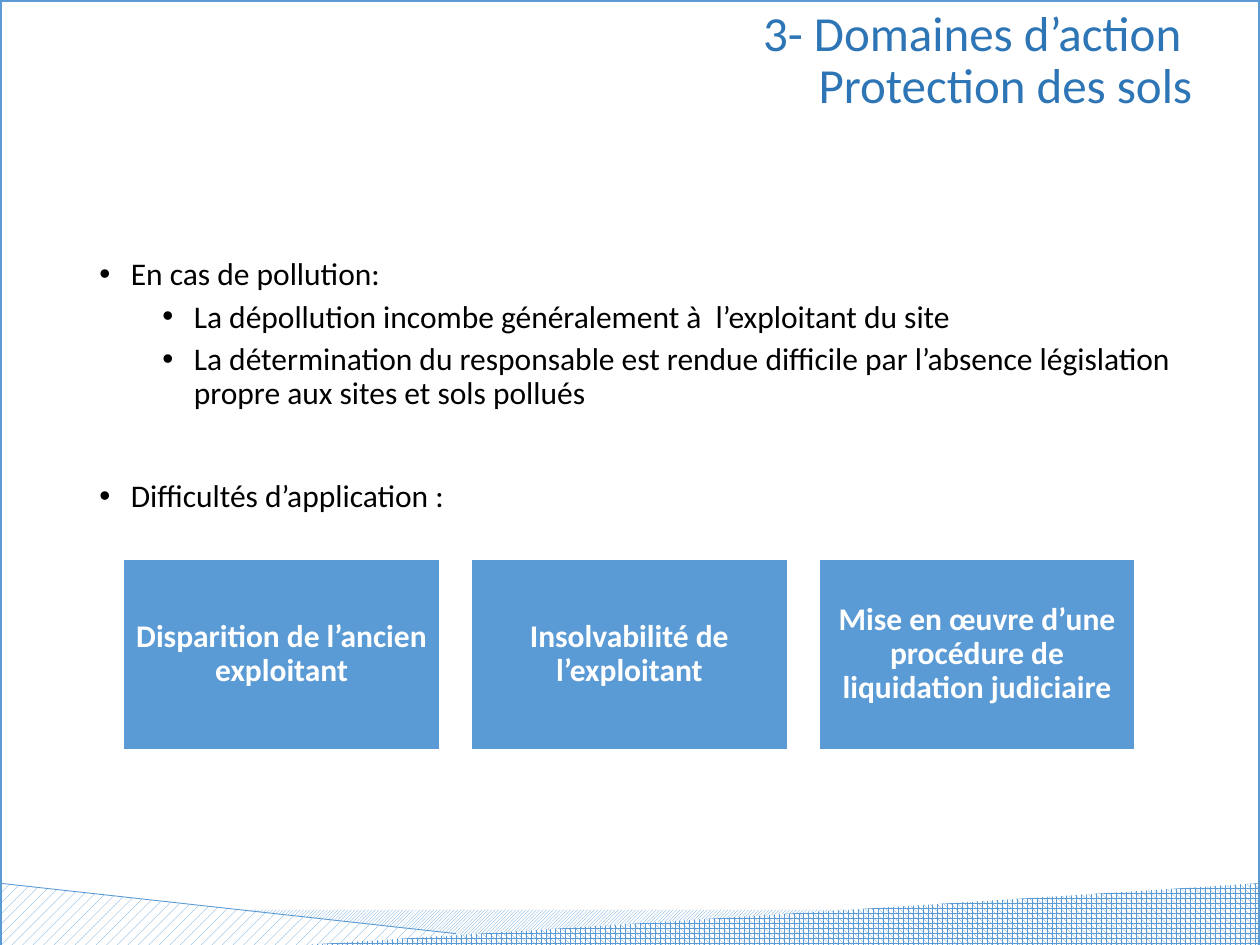
from dataclasses import dataclass

from lxml.etree import SubElement
from pptx import Presentation
from pptx.dml.color import RGBColor
from pptx.enum.dml import MSO_PATTERN
from pptx.enum.shapes import MSO_CONNECTOR, MSO_SHAPE
from pptx.enum.text import MSO_ANCHOR, PP_ALIGN
from pptx.oxml.ns import qn
from pptx.util import Inches, Pt

BLUE, DARK, BLACK, WHITE = "5B9BD5", "2E75B6", "000000", "FFFFFF"


@dataclass(frozen=True)
class Box:
    left: float
    top: float
    width: float
    height: float

    def area(self) -> list:
        return [Inches(v) for v in (self.left, self.top, self.width, self.height)]


@dataclass(frozen=True)
class Wedge:
    points: tuple
    pattern: MSO_PATTERN


@dataclass(frozen=True)
class Item:
    text: str
    level: int
    indent: float
    before: float


WEDGES = (
    Wedge(((0, 7.01), (4.37, 7.5), (4.28, 7.52), (0, 7.52)), MSO_PATTERN.PERCENT_20),
    Wedge(((2.27, 7.51), (9.99, 7.01), (10, 7.52), (2.19, 7.52)), MSO_PATTERN.SPHERE),
)
ITEMS = (
    Item("En cas de pollution:", 0, 0.25, 0),
    Item("La dépollution incombe généralement à  l’exploitant du site", 1, 0.75, 5),
    Item("La détermination du responsable est rendue difficile par l’absence "
         "législation propre aux sites et sols pollués", 1, 0.75, 5),
    Item("Difficultés d’application :", 0, 0.25, 39),
)
CARDS = (
    "Disparition de l’ancien exploitant",
    "Insolvabilité de l’exploitant",
    "Mise en œuvre d’une procédure de liquidation judiciaire",
)


def color(code: str) -> RGBColor:
    return RGBColor.from_string(code)


def apply(target, form: dict) -> None:
    for name, value in form.items():
        setattr(target, name, value)


def write(par, text: str, size: float, code: str, bold: bool = False, **form) -> None:
    par.text = text
    apply(par, {"line_spacing": 0.9, **form})
    for run in par.runs:
        apply(run.font, {"name": "Calibri", "size": Pt(size), "bold": bold})
        run.font.color.rgb = color(code)


def hatch(shape, pattern: MSO_PATTERN) -> None:
    shape.shadow.inherit = False
    shape.fill.patterned()
    shape.fill.pattern = pattern
    shape.fill.fore_color.rgb = color(BLUE)
    shape.fill.back_color.rgb = color(WHITE)
    shape.line.fill.background()


def add_rect(slide, box: Box):
    shape = slide.shapes.add_shape(MSO_SHAPE.RECTANGLE, *box.area())
    shape.shadow.inherit = False
    return shape


def add_text(slide, box: Box):
    frame = slide.shapes.add_textbox(*box.area()).text_frame
    apply(frame, {"word_wrap": True, "vertical_anchor": MSO_ANCHOR.TOP})
    return frame


def add_wedge(slide, wedge: Wedge) -> None:
    first, *rest = [(Inches(x), Inches(y)) for x, y in wedge.points]
    path = slide.shapes.build_freeform(*first)
    path.add_line_segments(rest, close=True)
    hatch(path.convert_to_shape(), wedge.pattern)


def add_decor(slide) -> None:
    hatch(add_rect(slide, Box(1.3, 7.22, 6.56, 0.32)), MSO_PATTERN.LIGHT_UPWARD_DIAGONAL)
    for wedge in WEDGES:
        add_wedge(slide, wedge)
    line = slide.shapes.add_connector(
        MSO_CONNECTOR.STRAIGHT, Inches(0), Inches(7.01), Inches(3.62), Inches(7.41))
    line.line.color.rgb = color(BLUE)
    line.line.width = Pt(0.5)
    SubElement(line._element.spPr, qn("a:effectLst"))
    edge = add_rect(slide, Box(0, 0, 10, 7.52))
    edge.fill.background()
    edge.line.color.rgb = color(BLUE)
    edge.line.width = Pt(2.25)


def add_item(par, item: Item) -> None:
    props = par._p.get_or_add_pPr()
    props.set("marL", str(Inches(item.indent)))
    props.set("indent", str(Inches(-0.25)))
    SubElement(props, qn("a:buFont"), typeface="Arial")
    SubElement(props, qn("a:buChar"), char="•")
    form = {"level": item.level}
    if item.before:
        form["space_before"] = Pt(item.before)
    write(par, item.text, 18, BLACK, **form)


def add_card(slide, box: Box, text: str) -> None:
    card = add_rect(slide, box)
    card.fill.solid()
    card.fill.fore_color.rgb = color(BLUE)
    card.line.color.rgb = color(WHITE)
    card.line.width = Pt(1)
    frame = card.text_frame
    sides = ("left", "right", "top", "bottom")
    apply(frame, {f"margin_{side}": Inches(0.07) for side in sides})
    apply(frame, {"word_wrap": True, "vertical_anchor": MSO_ANCHOR.MIDDLE})
    write(frame.paragraphs[0], text, 18, WHITE, True, alignment=PP_ALIGN.CENTER)


def main() -> None:
    deck = Presentation()
    apply(deck, {"slide_width": Inches(10), "slide_height": Inches(7.5)})
    slide = deck.slides.add_slide(deck.slide_layouts[6])
    add_decor(slide)
    title = add_text(slide, Box(0.69, 0.02, 8.87, 1.17))
    write(title.paragraphs[0], "3- Domaines d’action \vProtection des sols", 28, DARK,
          alignment=PP_ALIGN.RIGHT)
    body = add_text(slide, Box(0.69, 2, 9.01, 2.26))
    for index, item in enumerate(ITEMS):
        add_item(body.add_paragraph() if index else body.paragraphs[0], item)
    width, gap = 2.51, 0.25
    for index, text in enumerate(CARDS):
        left = 0.98 + index * (width + gap)
        add_card(slide, Box(left, 4.44, width, 1.51), text)
    deck.save("out.pptx")


if __name__ == "__main__":
    main()
